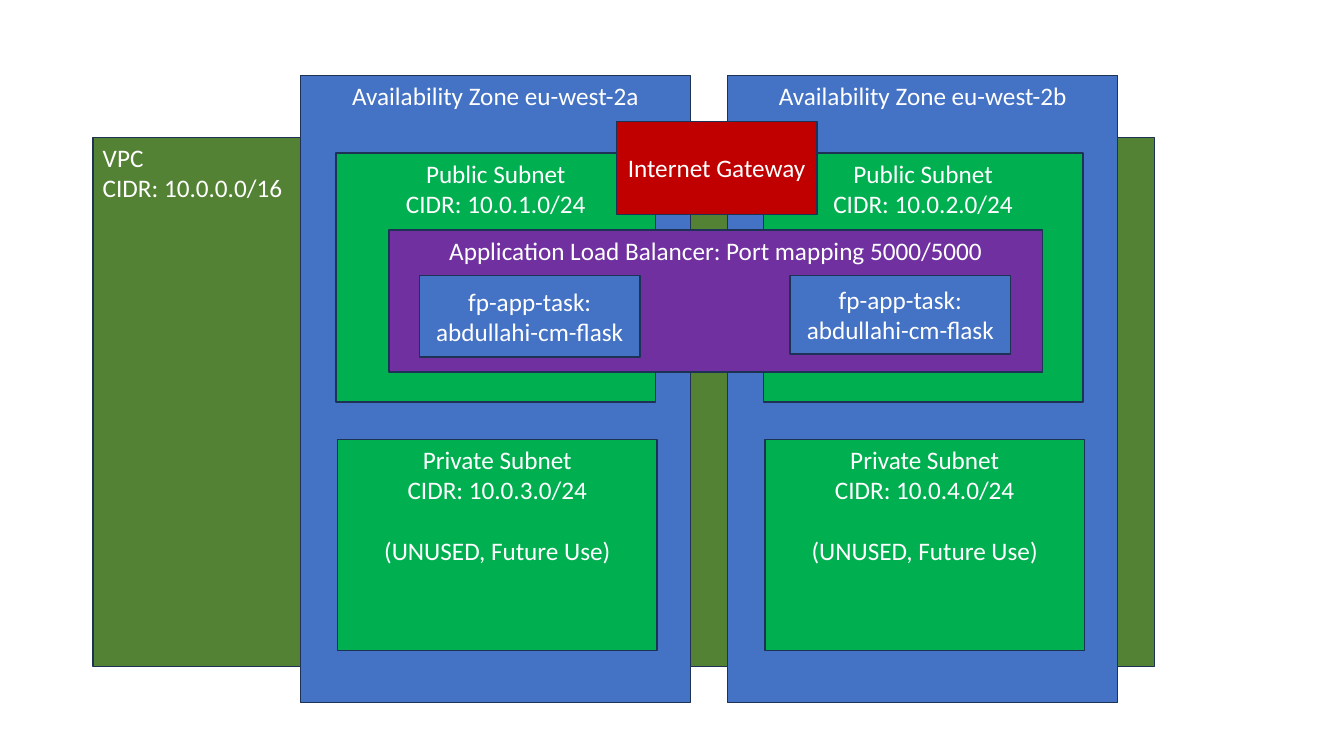
from pptx import Presentation
from pptx import util as u
from pptx.dml.color import RGBColor
from pptx.enum import shapes, text

WHITE = RGBColor(0xFF, 0xFF, 0xFF)
EDGE = RGBColor(0x1E, 0x32, 0x56)
OLIVE = RGBColor(0x54, 0x82, 0x35)
BLUE = RGBColor(0x44, 0x72, 0xC4)
GREEN = RGBColor(0x00, 0xB0, 0x50)
RED = RGBColor(0xC0, 0x00, 0x00)
PURPLE = RGBColor(0x70, 0x30, 0xA0)
TOP = text.MSO_ANCHOR.TOP
MIDDLE = text.MSO_ANCHOR.MIDDLE
LEFT = text.PP_ALIGN.LEFT
CENTER = text.PP_ALIGN.CENTER


def add_box(slide, box, fill, lines, anchor=TOP, align=CENTER):
    shape = slide.shapes.add_shape(
        shapes.MSO_SHAPE.RECTANGLE, *[u.Cm(side) for side in box])
    shape.shadow.inherit = False
    shape.fill.solid()
    shape.fill.fore_color.rgb = fill
    shape.line.color.rgb = EDGE
    shape.line.width = u.Pt(1)
    frame = shape.text_frame
    frame.word_wrap = True
    frame.vertical_anchor = anchor
    for i, line in enumerate(lines):
        para = frame.add_paragraph() if i else frame.paragraphs[0]
        para.text = line
        para.alignment = align
        para.font.name = "Calibri"
        para.font.size = u.Pt(18)
        para.font.color.rgb = WHITE
    return frame


def add_zone(slide, box, name, public, private):
    left, top, width, height = box
    add_box(slide, box, BLUE, [f"Availability Zone {name}"])
    add_box(slide, (left + 0.9, top + 1.96, 8.05, 6.27), GREEN,
            ["Public Subnet", f"CIDR: {public}"])
    frame = add_box(slide, (left + 0.94, top + 9.17, 8.05, 5.33), GREEN,
                    ["Private Subnet", f"CIDR: {private}",
                     "(UNUSED, Future Use)"])
    frame.paragraphs[2].space_before = u.Pt(22)


def add_balancer(slide, box):
    left, top, width, height = box
    add_box(slide, box, PURPLE,
            ["Application Load Balancer: Port mapping 5000/5000"])
    for shift, tall in ((0.77, 2.06), (10.11, 1.98)):
        add_box(slide, (left + shift, top + 1.14, 5.56, tall), BLUE,
                ["fp-app-task:", "abdullahi-cm-flask"], MIDDLE)


def main():
    deck = Presentation()
    deck.slide_width = u.Cm(33.87)
    deck.slide_height = u.Cm(19.05)
    slide = deck.slides.add_slide(deck.slide_layouts[6])
    add_box(slide, (2.34, 3.46, 26.75, 13.34), OLIVE,
            ["VPC", "CIDR: 10.0.0.0/16"], align=LEFT)
    zones = (("eu-west-2a", "10.0.1.0/24", "10.0.3.0/24"),
             ("eu-west-2b", "10.0.2.0/24", "10.0.4.0/24"))
    for i, zone in enumerate(zones):
        add_zone(slide, (7.57 + 10.77 * i, 1.9, 9.83, 15.8), *zone)
    add_box(slide, (15.53, 3.06, 5.06, 2.34), RED,
            ["Internet Gateway"], MIDDLE)
    add_balancer(slide, (9.8, 5.8, 16.48, 3.58))
    deck.save("out.pptx")


if __name__ == "__main__":
    main()
